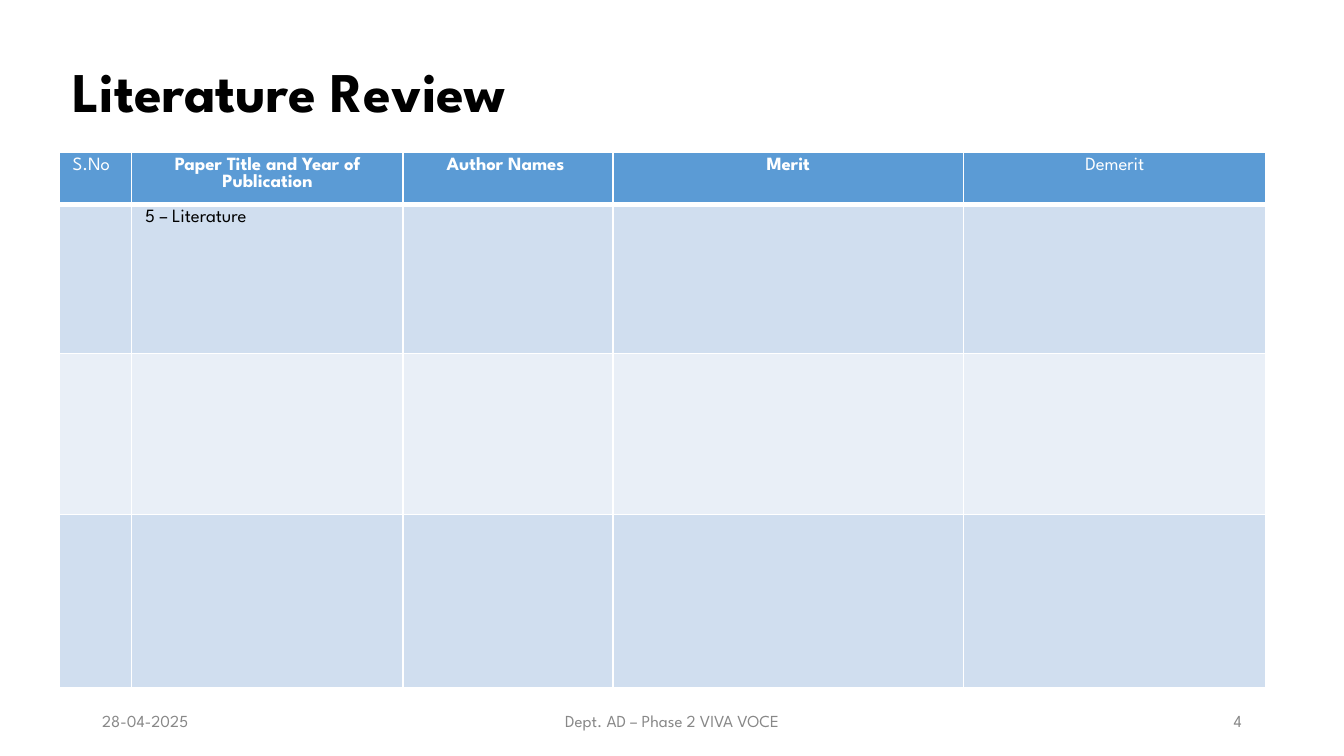
from lxml import etree
from pptx import Presentation
from pptx.dml.color import RGBColor
from pptx.enum.text import MSO_ANCHOR as ANCHOR, PP_ALIGN as ALIGN
from pptx.oxml.ns import qn
from pptx.util import Inches, Pt

FONT = "League Spartan"
HEADERS = [
    ("S.No", ALIGN.LEFT, None),
    ("Paper Title and Year of Publication", ALIGN.CENTER, True),
    ("Author Names ", ALIGN.CENTER, True),
    ("Merit", ALIGN.CENTER, True),
    ("Demerit", ALIGN.CENTER, None),
]
COLUMNS = [0.54, 2.02, 1.56, 2.61, 2.25]
ROWS = [0.39, 1.11, 1.2, 1.29]
FOOTERS = [
    ("28-04-2025", 0.69, 2.25, ALIGN.LEFT),
    ("Dept. AD – Phase 2 VIVA VOCE", 3.31, 3.38, ALIGN.CENTER),
    ("4", 7.06, 2.25, ALIGN.RIGHT),
]


def rgb(value):
    return RGBColor.from_string(value)


class SlideBuilder:
    def __init__(self, prs):
        self.s = prs.slides.add_slide(prs.slide_layouts[5])

    def format(self, p, size, color, align, bold=None):
        p.alignment = align
        for r in p.runs:
            r.font.name = FONT
            r.font.size = Pt(size)
            r.font.bold = bold
            r.font.color.rgb = rgb(color)

    def frame(self, tf):
        tf.word_wrap = True
        tf.vertical_anchor = ANCHOR.MIDDLE
        tf.margin_left = tf.margin_right = Inches(0.07)
        tf.margin_top = tf.margin_bottom = Inches(0.04)

    def title(self, text, x, y, w, h):
        sp = self.s.shapes.title
        sp.left, sp.top, sp.width, sp.height = map(Inches, (x, y, w, h))
        sp.text_frame.text = text
        self.frame(sp.text_frame)
        p = sp.text_frame.paragraphs[0]
        p.line_spacing = 0.9
        self.format(p, 30, "000000", ALIGN.LEFT, True)

    def text(self, text, x, y, w, h, align):
        sp = self.s.shapes.add_textbox(*map(Inches, (x, y, w, h)))
        sp.text_frame.text = text
        self.frame(sp.text_frame)
        self.format(sp.text_frame.paragraphs[0], 9, "888888", align)

    def borders(self, cell, bottom):
        tcPr = cell._tc.get_or_add_tcPr()
        widths = {"a:lnL": 1, "a:lnR": 1, "a:lnT": 1, "a:lnB": bottom}
        for i, (tag, width) in enumerate(widths.items()):
            ln = etree.Element(qn(tag), w=str(Pt(width)))
            fill = etree.SubElement(ln, qn("a:solidFill"))
            etree.SubElement(fill, qn("a:srgbClr"), val="FFFFFF")
            tcPr.insert(i, ln)

    def cell_text(self, cell, text, color, align, bold):
        cell.text = text
        self.format(cell.text_frame.paragraphs[0], 10, color, align, bold)

    def table(self, x, y, columns, rows):
        frame = self.s.shapes.add_table(
            len(rows), len(columns), Inches(x), Inches(y),
            Inches(sum(columns)), Inches(sum(rows)))
        table = frame.table
        for column, width in zip(table.columns, columns):
            column.width = Inches(width)
        for i, (row, height) in enumerate(zip(table.rows, rows)):
            row.height = Inches(height)
            fill = "5B9BD5" if i == 0 else ("E9EFF7", "D0DEEF")[i % 2]
            for cell in row.cells:
                cell.margin_left = cell.margin_right = Inches(0.1)
                cell.margin_top = cell.margin_bottom = Inches(0.04)
                cell.fill.solid()
                cell.fill.fore_color.rgb = rgb(fill)
                self.borders(cell, 3 if i == 0 else 1)
        return table


def main():
    prs = Presentation()
    prs.slide_width = Inches(10)
    prs.slide_height = prs.slide_width * 9 // 16
    builder = SlideBuilder(prs)
    builder.title("Literature Review", 0.47, 0.16, 8.62, 1.09)
    table = builder.table(0.44, 1.13, COLUMNS, ROWS)
    for i, (text, align, bold) in enumerate(HEADERS):
        builder.cell_text(table.cell(0, i), text, "FFFFFF", align, bold)
    builder.cell_text(table.cell(1, 1), "5 – Literature ", "000000", ALIGN.JUSTIFY, False)
    for text, x, width, align in FOOTERS:
        builder.text(text, x, 5.21, width, 0.3, align)
    prs.save("out.pptx")


if __name__ == "__main__":
    main()
